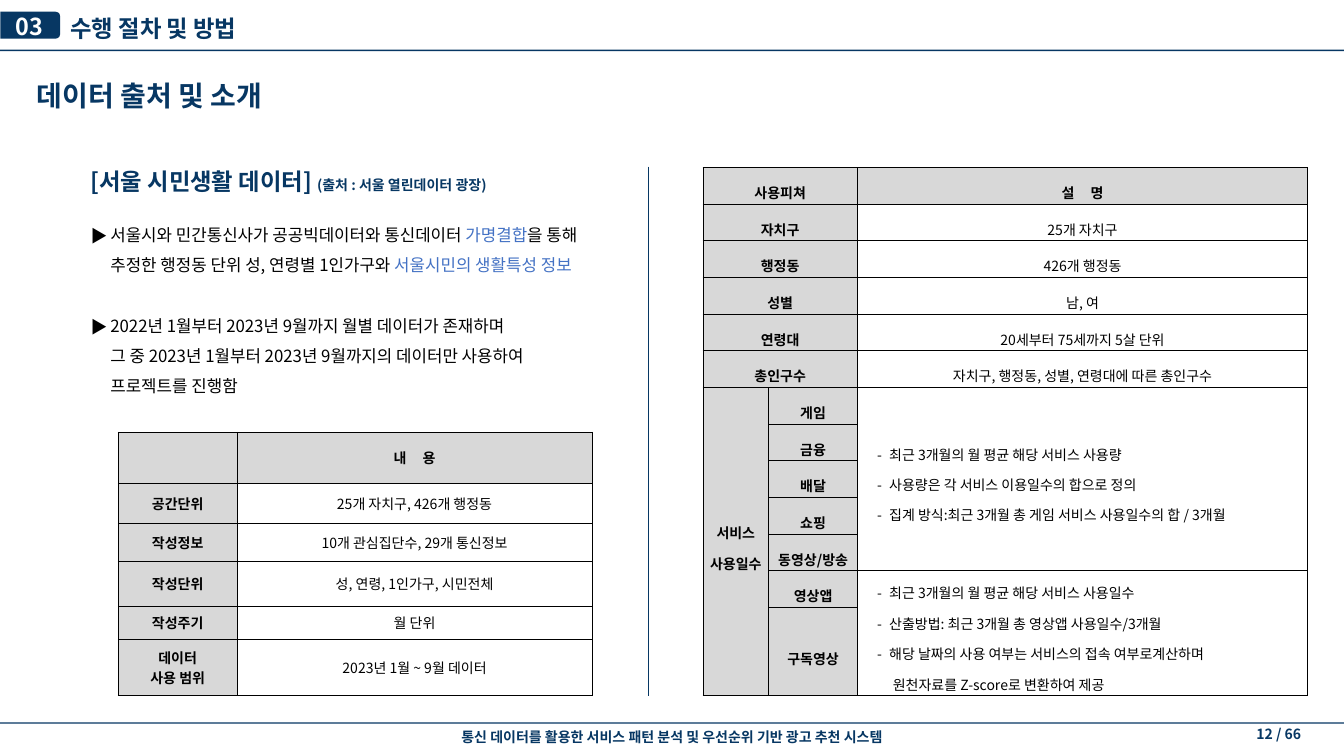
"""Builds the data source slide: header, source notes and two feature tables."""
import dataclasses

import lxml.etree
import pptx
import pptx.dml.color
import pptx.enum.shapes
import pptx.enum.text
import pptx.oxml.ns
import pptx.util

Pt = pptx.util.Pt
qn = pptx.oxml.ns.qn
ALIGN = pptx.enum.text.PP_ALIGN
ANCHOR = pptx.enum.text.MSO_ANCHOR
SHAPE = pptx.enum.shapes.MSO_SHAPE


@dataclasses.dataclass(frozen=True)
class Theme:
    font: str = "Noto Sans CJK KR"
    navy: str = "073763"
    blue: str = "4472C4"
    black: str = "000000"
    white: str = "FFFFFF"
    gray: str = "D8D8D8"
    title: int = 30
    heading: int = 25
    body: int = 18
    small: int = 15


THEME = Theme()


def rgb(color):
    return pptx.dml.color.RGBColor.from_string(color)


def add_xml(parent, tag, **attrs):
    return lxml.etree.SubElement(parent, qn(tag), {k: str(v) for k, v in attrs.items()})


def write(tf, text, *, size=THEME.small, color=THEME.black, bold=False, align=ALIGN.LEFT,
          line=1.0, before=0, left=0, hang=0, bullet=None):
    p = tf.paragraphs[0]
    if p.runs:
        p = tf.add_paragraph()
    pPr = p._p.get_or_add_pPr()
    pPr.set("marL", str(Pt(left)))
    pPr.set("indent", str(-Pt(hang)))
    if bullet:
        add_xml(pPr, "a:buFont", typeface=THEME.font)
        add_xml(pPr, "a:buChar", char=bullet)
    else:
        add_xml(pPr, "a:buNone")
    p.alignment, p.line_spacing, p.space_before = align, line, Pt(before)
    for part in [text] if isinstance(text, str) else text:
        words, own = (part, {}) if isinstance(part, str) else part
        r = p.add_run()
        r.text = words
        r.font.name = THEME.font
        r.font.size = Pt(own.get("size", size))
        r.font.bold = bold
        r.font.color.rgb = rgb(own.get("color", color))
        rPr = r._r.get_or_add_rPr()
        if "spacing" in own:
            rPr.set("spc", str(own["spacing"] * 100))
        add_xml(rPr, "a:ea", typeface=THEME.font)
    return p


class Deck:
    def __init__(self, theme, width, height):
        self.theme = theme
        self.prs = pptx.Presentation()
        self.prs.slide_width, self.prs.slide_height = Pt(width), Pt(height)
        self.s = self.prs.slides.add_slide(self.prs.slide_layouts[1])

    def frame(self, sp, inset):
        tf = sp.text_frame
        tf.word_wrap = True
        tf.auto_size = pptx.enum.text.MSO_AUTO_SIZE.NONE
        tf.vertical_anchor = ANCHOR.TOP
        tf.margin_left = tf.margin_right = Pt(inset * 2)
        tf.margin_top = tf.margin_bottom = Pt(inset)
        return tf

    def placeholder(self, idx, x, y, w, h):
        sp = self.s.placeholders[idx]
        sp.left, sp.top, sp.width, sp.height = map(Pt, (x, y, w, h))
        return self.frame(sp, 0)

    def text(self, x, y, w, h, text, inset=0, **fmt):
        sp = self.s.shapes.add_textbox(*map(Pt, (x, y, w, h)))
        write(self.frame(sp, inset), text, color=self.theme.navy, bold=True, **fmt)

    def shape(self, kind, x, y, w, h):
        sp = self.s.shapes.add_shape(kind, *map(Pt, (x, y, w, h)))
        sp.shadow.inherit = False
        sp.fill.solid()
        sp.fill.fore_color.rgb = rgb(self.theme.navy)
        sp.line.fill.background()
        return sp

    def tab(self, x, y, w, h, text):
        sp = self.shape(SHAPE.ROUND_2_SAME_RECTANGLE, x, y, w, h)
        sp.rotation = 90
        tf = self.frame(sp, 3.6)
        tf.vertical_anchor = ANCHOR.MIDDLE
        tf._txBody.bodyPr.set("vert", "vert270")
        write(tf, text, size=self.theme.heading, color=self.theme.white, bold=True,
              align=ALIGN.CENTER, line=Pt(32))

    def line(self, x1, y1, x2, y2):
        c = self.s.shapes.add_connector(pptx.enum.shapes.MSO_CONNECTOR.STRAIGHT,
                                        *map(Pt, (x1, y1, x2, y2)))
        c.line.color.rgb = rgb(self.theme.navy)
        c.line.width = Pt(0.5)
        add_xml(c._element.spPr, "a:effectLst")

    def table(self, x, y, cols, rows, labels, bottom=5):
        t = self.s.shapes.add_table(len(rows), len(cols),
                                    *map(Pt, (x, y, sum(cols), sum(rows)))).table
        t.first_row = t.horz_banding = False
        for col, w in zip(t.columns, cols):
            col.width = Pt(w)
        for i, (row, h) in enumerate(zip(t.rows, rows)):
            row.height = Pt(h)
            for j, cell in enumerate(row.cells):
                self.style(cell, i == 0 or j < labels, bottom)
        return t

    def style(self, cell, shaded, bottom):
        cell.margin_left = cell.margin_right = cell.margin_top = Pt(5)
        cell.margin_bottom = Pt(bottom)
        cell.vertical_anchor = ANCHOR.MIDDLE
        tcPr = cell._tc.get_or_add_tcPr()
        for side in "LRTB":
            ln = add_xml(tcPr, f"a:ln{side}", w=Pt(0.75))
            add_xml(add_xml(ln, "a:solidFill"), "a:srgbClr", val=self.theme.black)
        if shaded:
            cell.fill.solid()
            cell.fill.fore_color.rgb = rgb(self.theme.gray)
        else:
            cell.fill.background()


def spread(first, last):
    return [(first + " ", {"spacing": 7}), last]


def header_and_footer(d):
    th = d.theme
    for y in (53.3, 774):
        d.shape(SHAPE.RECTANGLE, 0, y, 1440, 1.4)
    d.text(360.7, 774, 718.6, 28, "통신 데이터를 활용한 서비스 패턴 분석 및 우선순위 기반 광고 추천 시스템",
           inset=3.6, size=th.small, align=ALIGN.CENTER, line=Pt(21.5))
    d.text(682.6, 774, 718.6, 25, "12 / 66", inset=3.6, size=th.small,
           align=ALIGN.RIGHT, line=Pt(18))
    d.text(75.6, 8.6, 437.8, 36, "수행 절차 및 방법", size=th.heading, line=Pt(37))
    d.tab(18, -5, 28.8, 64, "03")
    tf = d.placeholder(0, 39.6, 76.3, 437.8, 44)
    write(tf, "데이터 출처 및 소개", size=th.title, color=th.navy, bold=True, line=Pt(44))


def source_notes(d):
    th = d.theme
    tf = d.placeholder(1, 97.2, 178.6, 567.4, 272.9)
    write(tf, ["[서울 시민생활 데이터] ", ("(출처 : 서울 열린데이터 광장)", {"size": th.small})],
          size=th.heading, color=th.navy, bold=True, line=Pt(30))
    blue = {"color": th.blue}
    notes = [
        (21.6, ["서울시와 민간통신사가 공공빅데이터와 통신데이터 ", ("가명결합", blue), "을 통해"]),
        (0, ["추정한 행정동 단위 성, 연령별 1인가구와 ", ("서울시민의 생활특성 정보", blue)]),
        (32.4, "2022년 1월부터 2023년 9월까지 월별 데이터가 존재하며"),
        (0, "그 중 2023년 1월부터 2023년 9월까지의 데이터만 사용하여"),
        (0, "프로젝트를 진행함"),
    ]
    for gap, text in notes:
        write(tf, text, size=th.body, line=Pt(32.4), before=gap, left=21,
              hang=21 if gap else 0, bullet="▶" if gap else None)


def scope_table(d):
    rows = [
        ([], [spread("내", "용")]),
        (["공간단위"], ["25개 자치구, 426개 행정동"]),
        (["작성정보"], ["10개 관심집단수, 29개 통신정보"]),
        (["작성단위"], ["성, 연령, 1인가구, 시민전체"]),
        (["작성주기"], ["월 단위"]),
        (["데이터", "사용 범위"], ["2023년 1월 ~ 9월 데이터"]),
    ]
    t = d.table(126.7, 463, [127.4, 380.2], [54.7, 42.5, 41, 48.2, 36, 59.8], 1)
    for i, row in enumerate(rows):
        for j, texts in enumerate(row):
            for text in texts:
                write(t.cell(i, j).text_frame, text, bold=i == 0 or j == 0, align=ALIGN.CENTER)


def feature_table(d):
    features = [
        ("사용피쳐", spread("설", "명")),
        ("자치구", "25개 자치구"),
        ("행정동", "426개 행정동"),
        ("성별", "남, 여"),
        ("연령대", "20세부터 75세까지 5살 단위"),
        ("총인구수", "자치구, 행정동, 성별, 연령대에 따른 총인구수"),
    ]
    services = ["게임", "금융", "배달", "쇼핑", "동영상/방송", "영상앱", "구독영상"]
    details = {
        6: ["최근 3개월의 월 평균 해당 서비스 사용량",
            "사용량은 각 서비스 이용일수의 합으로 정의",
            "집계 방식:최근 3개월 총 게임 서비스 사용일수의 합 / 3개월"],
        11: ["최근 3개월의 월 평균 해당 서비스 사용일수",
             "산출방법: 최근 3개월 총 영상앱 사용일수/3개월",
             "해당 날짜의 사용 여부는 서비스의 접속 여부로계산하며"],
    }
    t = d.table(753.1, 179.3, [70.6, 95, 482.4], [39.3] * 12 + [94.3], 2, bottom=1.5)
    centered = {"align": ALIGN.CENTER, "line": 1.5}
    for i, (name, text) in enumerate(features):
        t.cell(i, 0).merge(t.cell(i, 1))
        write(t.cell(i, 0).text_frame, name, bold=True, **centered)
        write(t.cell(i, 2).text_frame, text, bold=i == 0, **centered)
    for first, last, col in ((6, 12, 0), (6, 10, 2), (11, 12, 2)):
        t.cell(first, col).merge(t.cell(last, col))
    for text in ("서비스", "사용일수"):
        write(t.cell(6, 0).text_frame, text, bold=True, **centered)
    for i, name in enumerate(services, len(features)):
        write(t.cell(i, 1).text_frame, name, bold=True, **centered)
    for i, texts in details.items():
        cell = t.cell(i, 2)
        cell.margin_top, cell.margin_bottom = Pt(1.5), Pt(1)
        for text in texts:
            write(cell.text_frame, text, line=1.5, left=29, hang=13, bullet="-")
    write(t.cell(11, 2).text_frame, "원천자료를 Z-score로 변환하여 제공", line=1.5, left=33)


def main():
    d = Deck(THEME, 1440, 810)
    header_and_footer(d)
    source_notes(d)
    scope_table(d)
    feature_table(d)
    d.line(694.5, 178.6, 694.5, 745.2)
    d.prs.save("out.pptx")


if __name__ == "__main__":
    main()
